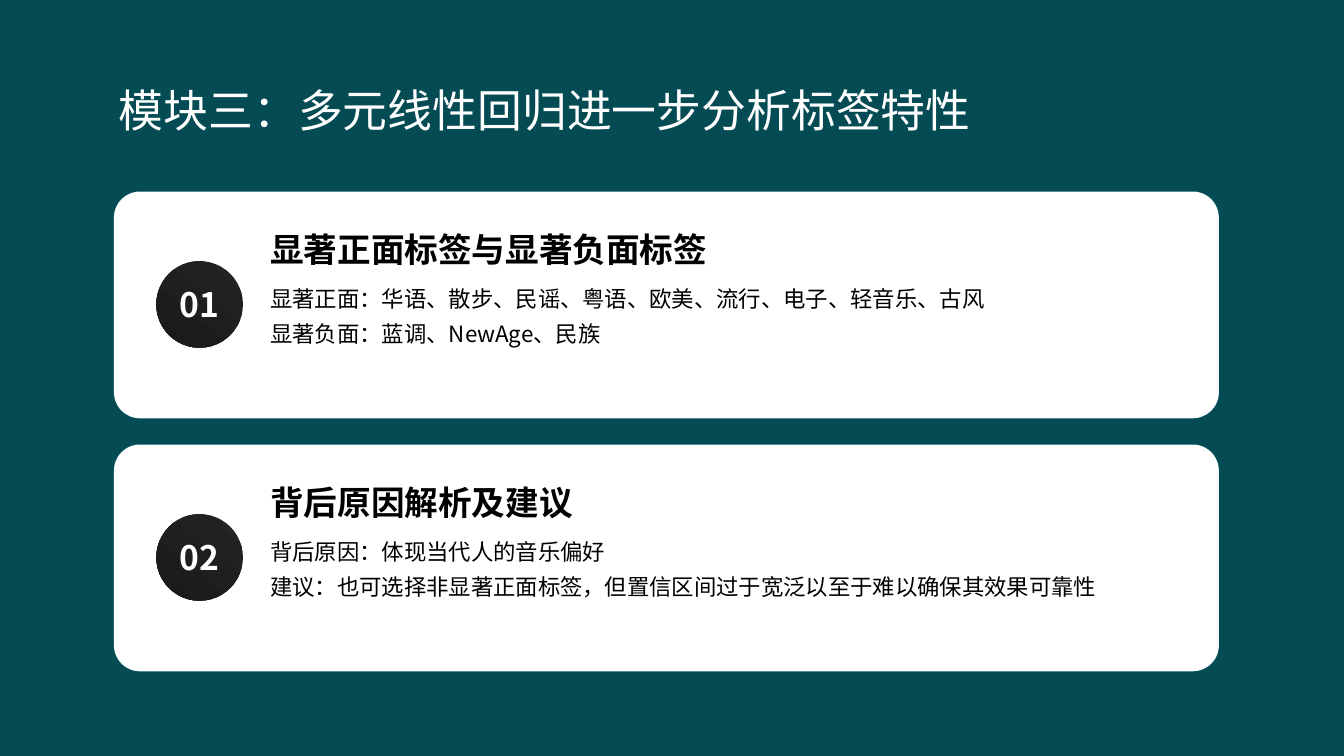
from lxml import etree
from pptx import Presentation
from pptx import util as u
from pptx.dml.color import RGBColor
from pptx.enum import shapes, text
from pptx.oxml.ns import qn

SANS = "Noto Sans CJK SC"
CARDS = [
    ("01", "显著正面标签与显著负面标签",
     ["显著正面：华语、散步、民谣、粤语、欧美、流行、电子、轻音乐、古风",
      "显著负面：蓝调、NewAge、民族"]),
    ("02", "背后原因解析及建议",
     ["背后原因：体现当代人的音乐偏好",
      "建议：也可选择非显著正面标签，但置信区间过于宽泛以至于难以确保其效果可靠性"]),
]


def rgb(value):
    """Return the colour for a hex string."""
    return RGBColor.from_string(value)


def write(sp, lines, size, color="000000", font=SANS, bold=False, spacing=None,
          align=text.PP_ALIGN.JUSTIFY, anchor=text.MSO_ANCHOR.TOP, inset=(0, 0)):
    """Fill a shape with formatted paragraphs."""
    tf = sp.text_frame
    tf.word_wrap = True
    tf.vertical_anchor = anchor
    tf.margin_left = tf.margin_right = u.Inches(inset[0])
    tf.margin_top = tf.margin_bottom = u.Inches(inset[1])
    for i, line in enumerate(lines):
        p = tf.paragraphs[0] if i == 0 else tf.add_paragraph()
        p.alignment = align
        p.line_spacing = spacing
        r = p.add_run()
        r.text = line
        r.font.size = u.Pt(size)
        r.font.bold = bold
        r.font.color.rgb = rgb(color)
        r.font.name = font
        if font == SANS:
            etree.SubElement(r.font._element, qn("a:ea"), typeface=font)


def add_text(s, x, y, w, h, lines, size, **fmt):
    """Add a text box with formatted paragraphs."""
    sp = s.shapes.add_textbox(*map(u.Inches, (x, y, w, h)))
    write(sp, lines, size, **fmt)
    return sp


def add_shape(s, kind, x, y, w, h):
    """Add a preset shape without a shadow."""
    sp = s.shapes.add_shape(kind, *map(u.Inches, (x, y, w, h)))
    sp.shadow.inherit = False
    return sp


def add_badge(s, x, y, size, number):
    """Add a dark gradient circle holding a number."""
    sp = add_shape(s, shapes.MSO_SHAPE.OVAL, x, y, size, size)
    sp.line.fill.background()
    sp.fill.gradient()
    sp.fill.gradient_angle = 360 - 128
    for stop, color in zip(sp.fill.gradient_stops, ("232323", "1A1A1A")):
        stop.color.rgb = rgb(color)
    write(sp, [number], 24, color="FFFFFF", bold=True,
          align=text.PP_ALIGN.CENTER, anchor=text.MSO_ANCHOR.MIDDLE)


def add_card(s, x, y, w, h, number, heading, lines):
    """Add a rounded card with a badge, a heading and body lines."""
    sp = add_shape(s, shapes.MSO_SHAPE.ROUNDED_RECTANGLE, x, y, w, h)
    sp.adjustments[0] = 0.115
    sp.fill.solid()
    sp.fill.fore_color.rgb = rgb("FFFFFF")
    sp.line.color.rgb = rgb("019AAD")
    sp.line.width = u.Pt(0.25)
    line_color = sp.line._ln.find(".//" + qn("a:srgbClr"))
    etree.SubElement(line_color, qn("a:alpha"), val="20000")
    add_badge(s, x + 0.42, y + 0.69, 0.86, number)
    add_text(s, x + 1.55, y + 0.29, 8.98, 0.48, [heading], 24, bold=True,
             anchor=text.MSO_ANCHOR.BOTTOM)
    add_text(s, x + 1.55, y + 0.85, 8.94, 1.21, lines, 16, spacing=1.3)


def add_title(s, x, y, w, h, title):
    """Add the slide title."""
    sp = add_text(s, x, y, w, h, [title], 32, color="FFFFFF", font="Arial",
                  inset=(0.1, 0.05))
    sp.text_frame.auto_size = text.MSO_AUTO_SIZE.SHAPE_TO_FIT_TEXT


def main():
    """Build and save the slide."""
    prs = Presentation()
    prs.slide_width, prs.slide_height = u.Inches(13.33), u.Inches(7.5)
    s = prs.slides.add_slide(prs.slide_layouts[6])
    s.background.fill.solid()
    s.background.fill.fore_color.rgb = rgb("044B54")
    add_title(s, 1.08, 0.77, 11.52, 0.64, "模块三：多元线性回归进一步分析标签特性")
    for i, card in enumerate(CARDS):
        add_card(s, 1.13, 1.9 + 2.51 * i, 10.96, 2.25, *card)
    prs.save("out.pptx")


if __name__ == "__main__":
    main()
